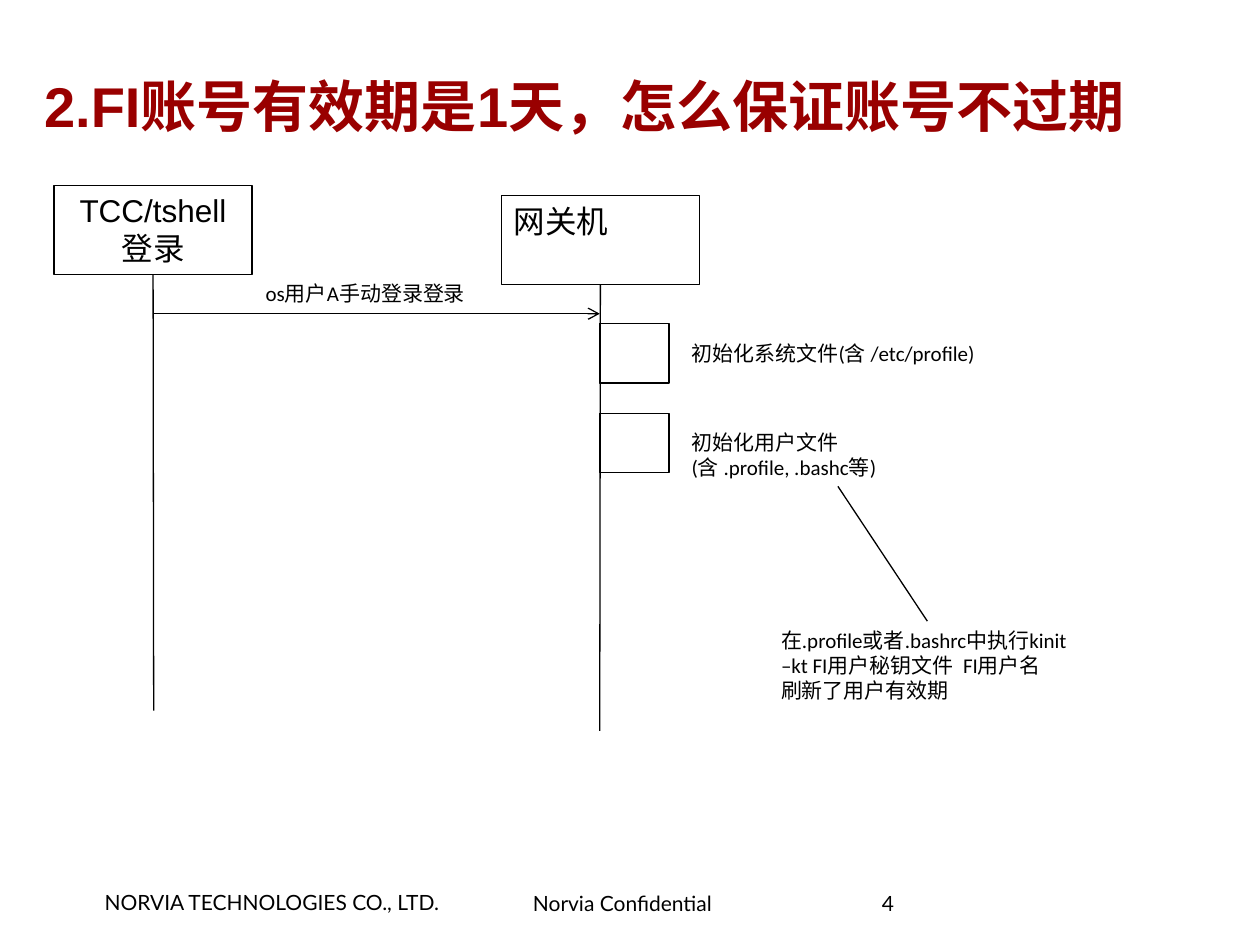
import pptx
import pptx.dml.color
import pptx.enum.shapes
import pptx.enum.text
import pptx.oxml
import pptx.oxml.ns
import pptx.util
from pptx.util import Inches

ALIGN = pptx.enum.text.PP_ALIGN
ANCHOR = pptx.enum.text.MSO_ANCHOR
BOTTOM, TOP = 2, 0


def color(value):
    return pptx.dml.color.RGBColor.from_string(value)


def write(shape, text, font="Calibri", size=12, fill="000000", bold=False,
          align=ALIGN.LEFT, anchor=ANCHOR.TOP, insets=(0.1, 0.05, 0.1, 0.05), spacing=1):
    frame = shape.text_frame
    frame.word_wrap = True
    frame.vertical_anchor = anchor
    (frame.margin_left, frame.margin_top,
     frame.margin_right, frame.margin_bottom) = map(Inches, insets)
    for index, line in enumerate(text.split("\n")):
        paragraph = frame.add_paragraph() if index else frame.paragraphs[0]
        paragraph.alignment = align
        paragraph.line_spacing = spacing
        run = paragraph.add_run()
        run.text = line
        run.font.name = font
        run.font.size = pptx.util.Pt(size)
        run.font.bold = bold
        run.font.color.rgb = color(fill)


class SequenceSlide:
    ink = "000000"
    stroke = 0.75

    def __init__(self, presentation):
        self.slide = presentation.slides.add_slide(presentation.slide_layouts[6])

    def text(self, left, top, width, height, text, **style):
        shape = self.slide.shapes.add_textbox(*map(Inches, (left, top, width, height)))
        write(shape, text, **style)
        return shape

    def box(self, left, top, width, height, text="", **style):
        shape = self.slide.shapes.add_shape(
            pptx.enum.shapes.MSO_SHAPE.RECTANGLE, *map(Inches, (left, top, width, height)))
        shape.shadow.inherit = False
        shape.fill.background()
        self.outline(shape)
        if text:
            write(shape, text, **style)
        return shape

    def outline(self, shape):
        shape.line.color.rgb = color(self.ink)
        shape.line.width = pptx.util.Pt(self.stroke)

    def line(self, start, end, source=None, target=None, arrow=False):
        connector = self.slide.shapes.add_connector(
            pptx.enum.shapes.MSO_CONNECTOR.STRAIGHT, *map(Inches, (*start, *end)))
        self.outline(connector)
        if source is not None:
            connector.begin_connect(source, BOTTOM)
        if target is not None:
            connector.end_connect(target, TOP)
        if arrow:
            tail = pptx.oxml.parse_xml(
                f'<a:tailEnd {pptx.oxml.ns.nsdecls("a")} type="arrow"/>')
            connector.line._get_or_add_ln().append(tail)
        connector._element.spPr.append(
            pptx.oxml.parse_xml(f'<a:effectLst {pptx.oxml.ns.nsdecls("a")}/>'))
        return connector


def main():
    presentation = pptx.Presentation()
    presentation.slide_width = Inches(10)
    presentation.slide_height = Inches(7.5)
    page = SequenceSlide(presentation)

    page.text(0.83, 7.06, 2.78, 0.2, "NORVIA TECHNOLOGIES CO., LTD.",
              font="Lato", insets=(0, 0, 0.09, 0))
    page.text(4.14, 7.07, 1.67, 0.2, "Norvia Confidential",
              font="Lato", insets=(0.09, 0, 0, 0))
    page.text(6.96, 7.1, 1.97, 0.4, "4", font="Lato", insets=(0.04, 0, 0, 0), spacing=0.85)
    page.text(0.35, 0.36, 8.82, 0.95, "2.FI账号有效期是1天，怎么保证账号不过期",
              font="Arial", size=32, fill="990000", bold=True,
              anchor=ANCHOR.MIDDLE, insets=(0, 0.04, 0.09, 0.04))

    client_x, gateway_x = 1.22, 4.76
    client = page.box(0.43, 1.47, 1.57, 0.71, "TCC/tshell登录",
                      font="Arial", size=18, align=ALIGN.CENTER)
    gateway = page.box(3.98, 1.55, 1.57, 0.71, "网关机", font="Arial", size=18)
    page.line((client_x, 2.18), (client_x, 5.64), source=client)
    page.line((gateway_x, 2.26), (gateway_x, 5.8), source=gateway)

    page.line((client_x, 2.49), (gateway_x, 2.49), arrow=True)
    page.text(2.01, 2.18, 2.05, 0.3, "os用户A手动登录登录")

    for top in (2.57, 3.28):
        page.box(gateway_x, top, 0.55, 0.47)
    page.text(5.39, 2.65, 2.52, 0.3, "初始化系统文件(含 /etc/profile)")
    user_files = page.text(5.39, 3.36, 2.52, 0.5, "初始化用户文件(含 .profile, .bashc等)")
    renewal = page.text(
        6.1, 4.93, 2.52, 0.71,
        "在.profile或者.bashrc中执行kinit –kt FI用户秘钥文件  FI用户名\n刷新了用户有效期")
    page.line((6.65, 3.86), (7.36, 4.93), source=user_files, target=renewal)

    presentation.save("out.pptx")


if __name__ == "__main__":
    main()
